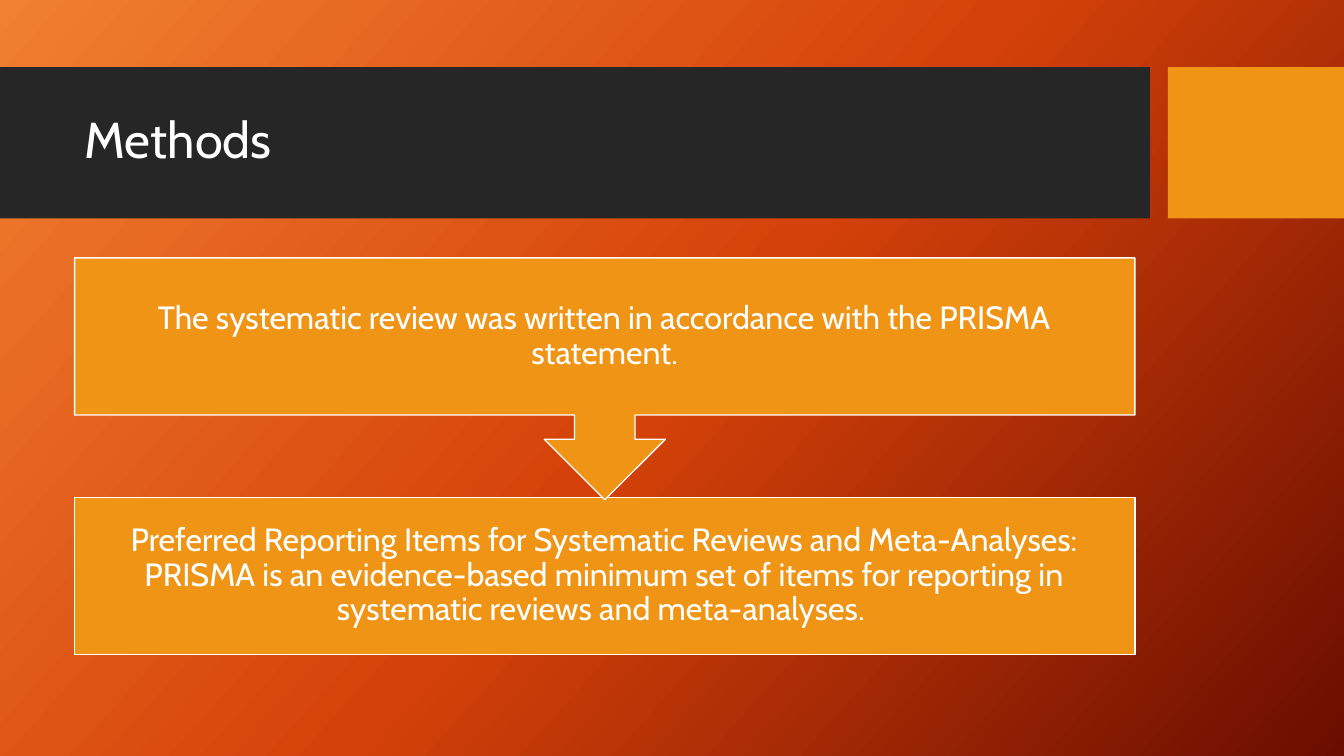
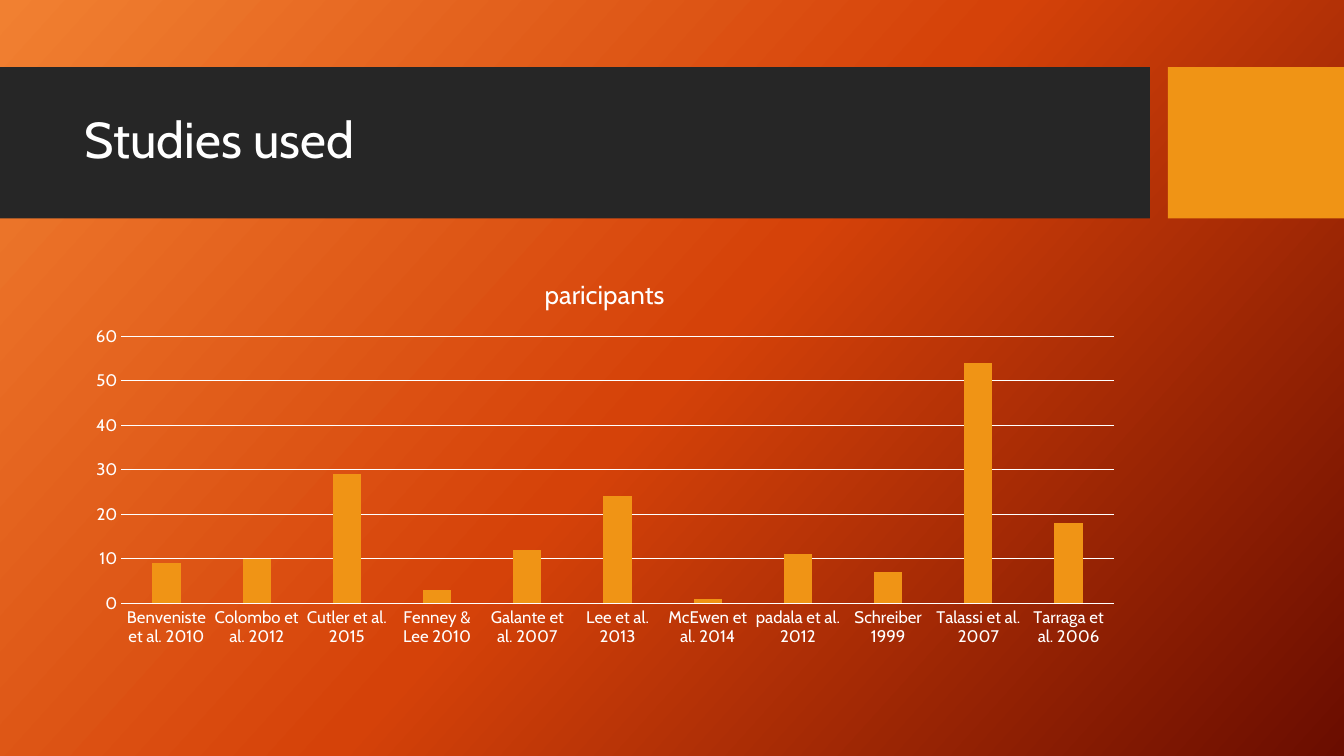
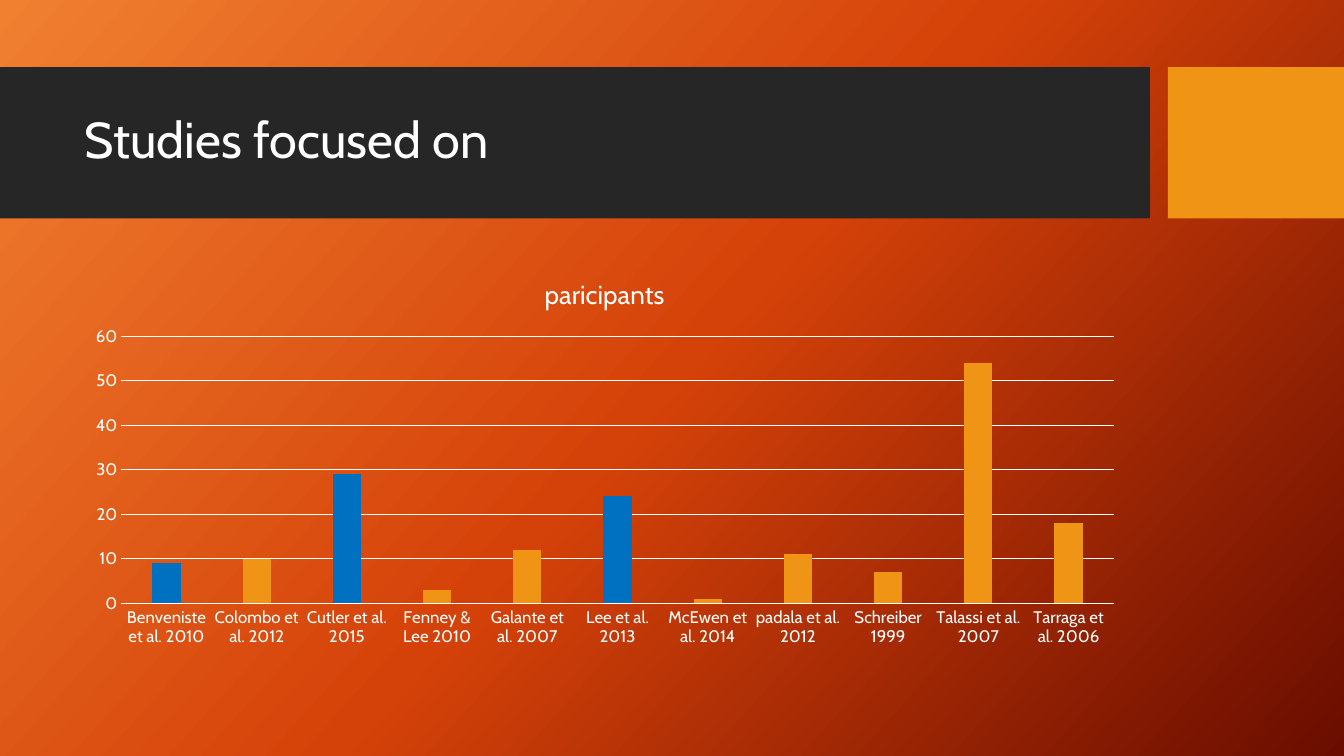
from copy import deepcopy
from pptx import Presentation
from pptx.chart.data import CategoryChartData as Data
from pptx.dml.color import RGBColor
from pptx.enum.chart import XL_CHART_TYPE as Kind, XL_TICK_MARK as Tick
from pptx.enum.shapes import MSO_SHAPE as Form
from pptx.enum.text import MSO_ANCHOR as Anchor, PP_ALIGN as Align
from pptx.oxml.ns import qn
from pptx.util import Inches, Pt

WHITE = RGBColor(0xFF, 0xFF, 0xFF)
DARK = RGBColor(0x26, 0x26, 0x26)
GOLD = RGBColor(0xF0, 0x94, 0x15)
BLUE = RGBColor(0x00, 0x70, 0xC0)
GLOW = [RGBColor(0xF1, 0x80, 0x31), RGBColor(0xD5, 0x42, 0x09), RGBColor(0x6A, 0x0D, 0x00)]
FACE = "Cabin"
COLS, ROWS = 180, 90
LEFT, WIDE, TOP = 10, 142, 30.7

deck = Presentation()
deck.slide_width = Inches(13.33)
deck.slide_height = Inches(7.5)


def grid(col, row, wide, high):
    unit, step = deck.slide_width / COLS, deck.slide_height / ROWS
    return [int(n) for n in (col * unit, row * step, wide * unit, high * step)]


def style(font, size):
    font.name = FACE
    font.size = Pt(size)
    font.bold = False
    font.color.rgb = WHITE


master = deck.slide_master
back = master.background.fill
back.gradient()
back.gradient_angle = 360 - 42
stops = master.element.find(".//" + qn("a:gsLst"))
stops.insert(1, deepcopy(stops[0]))
for stop, place, tint in zip(back.gradient_stops, (0, 0.5, 1), GLOW):
    stop.position = place
    stop.color.rgb = tint

slides = []
for name in ("Methods", "Studies used", "Studies focused on"):
    slide = deck.slides.add_slide(deck.slide_layouts[6])
    slides.append(slide)
    for col, wide, tint in ((0, 154, DARK), (156.4, COLS - 156.4, GOLD)):
        band = slide.shapes.add_shape(Form.RECTANGLE, *grid(col, 8, wide, 18))
        band.shadow.inherit = False
        band.fill.solid()
        band.fill.fore_color.rgb = tint
        band.line.fill.background()
    frame = slide.shapes.add_textbox(*grid(LEFT, 9.8, WIDE, 14.2)).text_frame
    frame.word_wrap = True
    frame.vertical_anchor = Anchor.MIDDLE
    para = frame.paragraphs[0]
    para.text = name
    para.line_spacing = 0.9
    style(para.font, 36)

steps = [
    (Form.RECTANGLE, 59.2, 18.7,
     "Preferred Reporting Items for Systematic Reviews and Meta-Analyses:\v"
     "PRISMA is an evidence-based minimum set of items for reporting in "
     "systematic reviews and meta-analyses. "),
    (Form.DOWN_ARROW_CALLOUT, TOP, 28.8,
     "The systematic review was written in accordance with the PRISMA statement."),
]
for form, row, high, words in steps:
    box = slides[0].shapes.add_shape(form, *grid(LEFT, row, WIDE, high))
    box.shadow.inherit = False
    box.fill.solid()
    box.fill.fore_color.rgb = GOLD
    box.line.color.rgb = WHITE
    box.line.width = Pt(1)
    frame = box.text_frame
    frame.word_wrap = True
    frame.vertical_anchor = Anchor.MIDDLE
    frame.margin_left = frame.margin_right = Inches(0.18)
    frame.margin_top = frame.margin_bottom = Inches(0.18)
    para = frame.paragraphs[0]
    para.text = words
    para.alignment = Align.CENTER
    para.line_spacing = 0.9
    style(para.font, 23)

counts = {
    "Benveniste et al. 2010": 9,
    "Colombo et al. 2012": 10,
    "Cutler et al. 2015": 29,
    "Fenney & Lee 2010": 3,
    "Galante et al. 2007": 12,
    "Lee et al. 2013": 24,
    "McEwen et al. 2014": 1,
    "padala et al. 2012": 11,
    "Schreiber 1999": 7,
    "Talassi et al. 2007": 54,
    "Tarraga et al. 2006": 18,
}
data = Data()
data.categories = list(counts)
data.add_series("paricipants", list(counts.values()))

for slide, marked in zip(slides[1:], ((), (0, 2, 5))):
    spot = grid(LEFT, TOP, WIDE, 47.3)
    chart = slide.shapes.add_chart(Kind.COLUMN_CLUSTERED, *spot, data).chart
    style(chart.font, 10)
    chart.has_legend = False
    chart.has_title = True
    para = chart.chart_title.text_frame.paragraphs[0]
    para.text = "paricipants"
    style(para.font, 18.6)
    chart.chart_title.include_in_layout = False

    for axis in (chart.category_axis, chart.value_axis):
        axis.major_tick_mark = axis.minor_tick_mark = Tick.NONE
        style(axis.tick_labels.font, 12)
    base = chart.category_axis.format.line
    scale = chart.value_axis
    scale.minimum_scale, scale.maximum_scale, scale.major_unit = 0, 60, 10
    scale.format.line.fill.background()
    for line in (base, scale.major_gridlines.format.line):
        line.color.rgb = WHITE
        line.width = Pt(0.75)

    plot = chart.plots[0]
    plot.vary_by_categories = False
    plot.gap_width, plot.overlap = 219, -27
    bars = plot.series[0]
    bars.format.fill.solid()
    bars.format.fill.fore_color.rgb = GOLD
    for spot in marked:
        fill = bars.points[spot].format.fill
        fill.solid()
        fill.fore_color.rgb = BLUE

deck.save("out.pptx")
